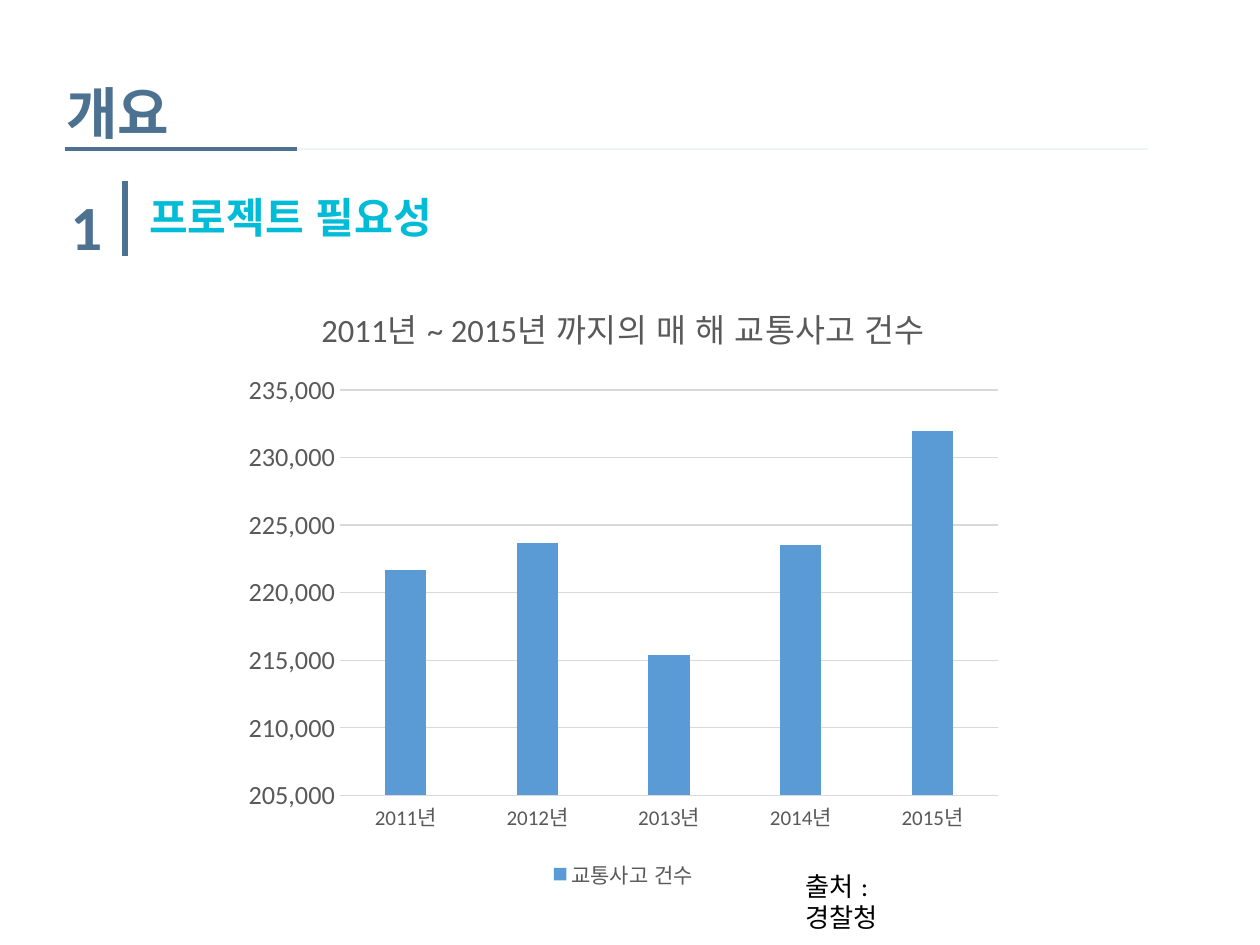
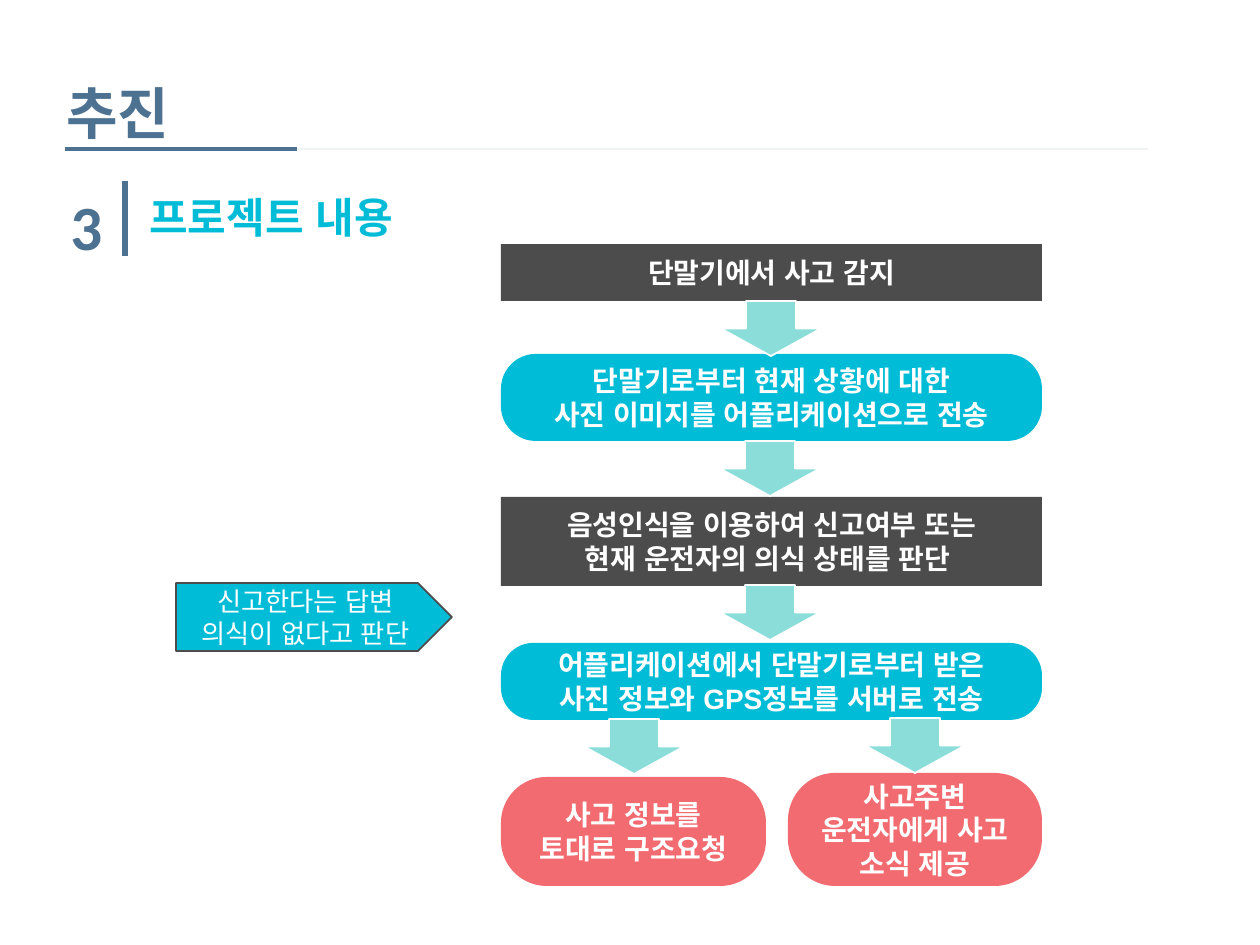
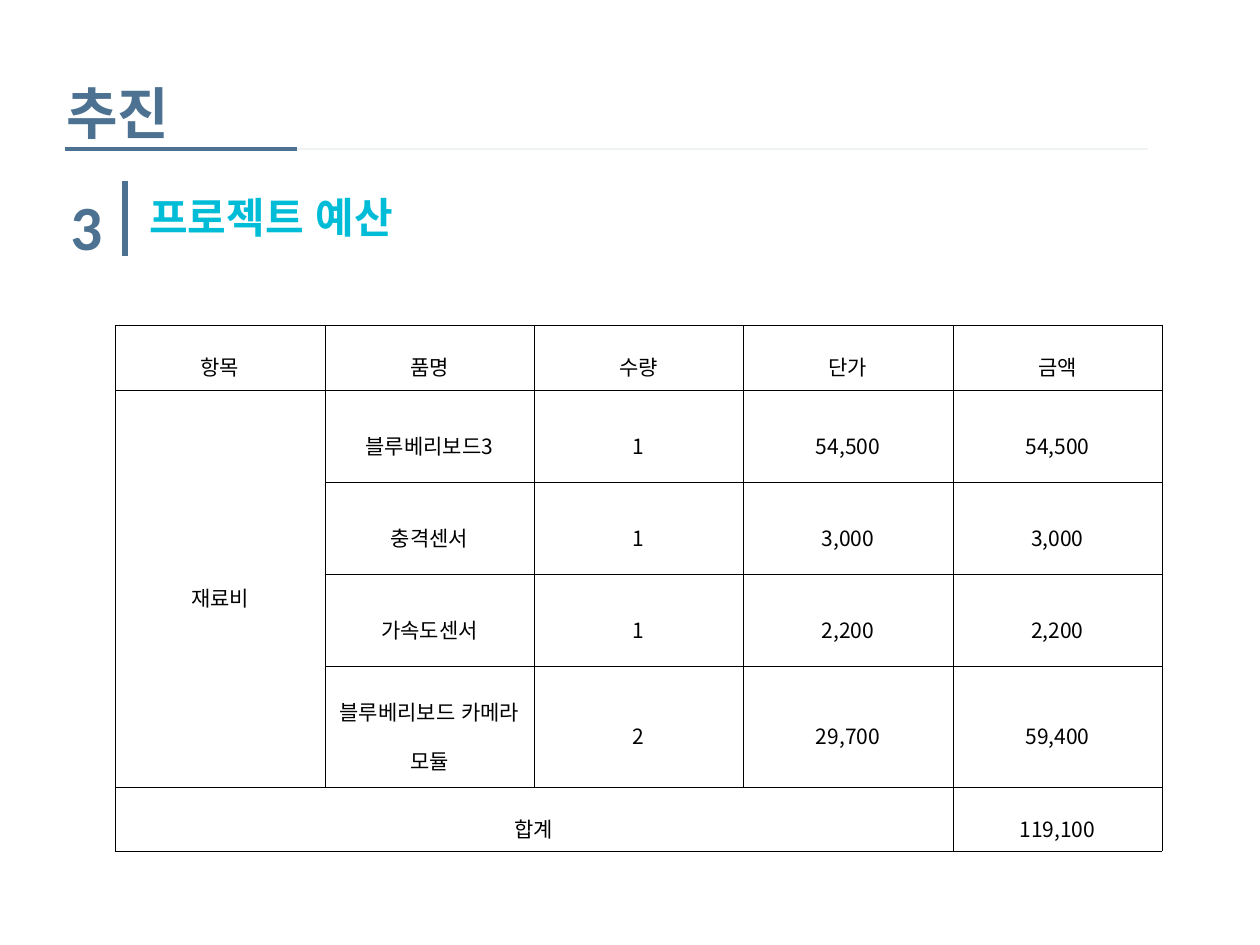
from dataclasses import dataclass
from typing import Optional

from lxml.etree import SubElement
from pptx import Presentation
from pptx.chart.data import CategoryChartData
from pptx.dml.color import RGBColor
from pptx.enum.chart import XL_CHART_TYPE as ChartType, XL_LEGEND_POSITION as LegendPosition
from pptx.enum.chart import XL_TICK_MARK as TickMark
from pptx.enum.lang import MSO_LANGUAGE_ID as Language
from pptx.enum.shapes import MSO_CONNECTOR as Connector, MSO_SHAPE as Preset
from pptx.enum.text import MSO_ANCHOR as Anchor, PP_ALIGN as Align
from pptx.oxml import parse_xml
from pptx.oxml.ns import nsdecls, qn
from pptx.slide import Slide
from pptx.text.text import Font, TextFrame
from pptx.util import Emu, Pt

PX_PER_INCH = 126

STEEL = RGBColor(0x4D, 0x71, 0x91)
PALE = RGBColor(0xEF, 0xF3, 0xF4)
CYAN = RGBColor(0x00, 0xBC, 0xD7)
CHARCOAL = RGBColor(0x4C, 0x4C, 0x4C)
CORAL = RGBColor(0xF2, 0x6B, 0x70)
MINT = RGBColor(0x8B, 0xDD, 0xDA)
BAR_BLUE = RGBColor(0x5B, 0x9B, 0xD5)
CHART_TEXT = RGBColor(0x59, 0x59, 0x59)
GRID = RGBColor(0xD9, 0xD9, 0xD9)
WHITE = RGBColor(0xFF, 0xFF, 0xFF)
BLACK = RGBColor(0x00, 0x00, 0x00)

KOREAN = "Noto Sans CJK KR"
LATIN = "Calibri"
SHAPE_FONT = "Arial"


@dataclass(frozen=True)
class Area:
    left: int
    top: int
    width: int
    height: int


@dataclass(frozen=True)
class Rule:
    start: tuple[int, int]
    end: tuple[int, int]
    color: RGBColor
    weight: float


@dataclass(frozen=True)
class Step:
    area: Area
    preset: Preset
    fill: RGBColor
    text: str = ""
    corner: Optional[float] = None
    outline: Optional[RGBColor] = None
    size: int = 16
    bold: bool = True


HEADER_RULES = [
    Rule((125, 181), (125, 256), STEEL, 3),
    Rule((65, 149), (297, 149), STEEL, 2.75),
    Rule((297, 149), (1148, 149), PALE, 1),
]

FLOW_LEFT, FLOW_WIDTH = 501, 541
STEPS = [
    Step(Area(FLOW_LEFT, 244, FLOW_WIDTH, 57), Preset.RECTANGLE, CHARCOAL,
         "단말기에서 사고 감지"),
    Step(Area(FLOW_LEFT, 354, FLOW_WIDTH, 87), Preset.ROUNDED_RECTANGLE, CYAN,
         "단말기로부터 현재 상황에 대한\n사진 이미지를 어플리케이션으로 전송", 0.4),
    Step(Area(FLOW_LEFT, 497, FLOW_WIDTH, 89), Preset.RECTANGLE, CHARCOAL,
         "음성인식을 이용하여 신고여부 또는\n현재 운전자의 의식 상태를 판단 "),
    Step(Area(FLOW_LEFT, 643, FLOW_WIDTH, 77), Preset.ROUNDED_RECTANGLE, CYAN,
         "어플리케이션에서 단말기로부터 받은\n사진 정보와 GPS정보를 서버로 전송", 0.42),
    Step(Area(FLOW_LEFT, 777, 265, 109), Preset.ROUNDED_RECTANGLE, CORAL,
         "사고 정보를 토대로 구조요청", 0.42),
    Step(Area(788, 773, 254, 113), Preset.ROUNDED_RECTANGLE, CORAL,
         "사고주변 운전자에게 사고 소식 제공", 0.42),
    Step(Area(176, 583, 276, 68), Preset.PENTAGON, CYAN,
         "신고한다는 답변\n의식이 없다고 판단", outline=CHARCOAL, size=15, bold=False),
]
ARROW_PLACES = [(721, 301), (720, 441), (720, 585), (584, 719), (865, 718)]

ACCIDENTS = {"2011년": 221700, "2012년": 223700, "2013년": 215400,
             "2014년": 223500, "2015년": 232000}

BUDGET = [
    ["항목", "품명", "수량", "단가", "금액"],
    ["재료비", "블루베리보드3", "1", "54,500", "54,500"],
    ["", "충격센서", "1", "3,000", "3,000"],
    ["", "가속도센서", "1", "2,200", "2,200"],
    ["", "블루베리보드 카메라 모듈", "2", "29,700", "59,400"],
    ["합계", "", "", "", "119,100"],
]
ROW_HEIGHTS = [65, 92, 92, 92, 121, 64]
COLUMN_WIDTHS = [210, 209, 209, 210, 209]


def px(length: int) -> Emu:
    return Emu(round(length * 914400 / PX_PER_INCH))


def place(area: Area) -> tuple[Emu, Emu, Emu, Emu]:
    return px(area.left), px(area.top), px(area.width), px(area.height)


def set_font(font: Font, *, size: float, color: RGBColor,
             name: str = LATIN, bold: bool = False) -> None:
    font.size = Pt(size)
    font.bold = bold
    font.color.rgb = color
    font.name = name
    font.language_id = Language.KOREAN
    east_asian = parse_xml(f'<a:ea {nsdecls("a")} typeface="{KOREAN}"/>')
    font._rPr.find(qn("a:latin")).addnext(east_asian)


def write(frame: TextFrame, text: str, *, size: float, color: RGBColor, name: str = LATIN,
          bold: bool = False, align: Align = Align.LEFT, anchor: Anchor = Anchor.TOP,
          spacing: float = 1.0) -> None:
    frame.word_wrap = True
    frame.vertical_anchor = anchor
    for index, line in enumerate(text.split("\n")):
        para = frame.add_paragraph() if index else frame.paragraphs[0]
        para.alignment = align
        para.line_spacing = spacing
        span = para.add_run()
        span.text = line
        set_font(span.font, size=size, color=color, name=name, bold=bold)


def add_text(page: Slide, area: Area, text: str, **style) -> TextFrame:
    frame = page.shapes.add_textbox(*place(area)).text_frame
    write(frame, text, **style)
    return frame


def add_rule(page: Slide, rule: Rule) -> None:
    line = page.shapes.add_connector(
        Connector.STRAIGHT, *(px(value) for value in rule.start + rule.end))
    line.line.color.rgb = rule.color
    line.line.width = Pt(rule.weight)
    SubElement(line._element.spPr, qn("a:effectLst"))


def add_step(page: Slide, step: Step) -> None:
    box = page.shapes.add_shape(step.preset, *place(step.area))
    box.shadow.inherit = False
    box.fill.solid()
    box.fill.fore_color.rgb = step.fill
    if step.outline is None:
        box.line.fill.background()
    else:
        box.line.color.rgb = step.outline
        box.line.width = Pt(1)
    if step.corner is not None:
        box.adjustments[0] = step.corner
    if step.text:
        write(box.text_frame, step.text, size=step.size, color=WHITE, name=SHAPE_FONT,
              bold=step.bold, align=Align.CENTER, anchor=Anchor.MIDDLE)


def add_page(deck: Presentation, title: str, number: str, subtitle: str) -> Slide:
    page = deck.slides.add_slide(deck.slide_layouts[6])
    for rule in HEADER_RULES:
        add_rule(page, rule)
    add_text(page, Area(137, 185, 367, 71), subtitle,
             size=24, color=CYAN, name=KOREAN, bold=True)
    add_text(page, Area(54, 72, 433, 95), title,
             size=32, color=STEEL, name=KOREAN, bold=True)
    add_text(page, Area(58, 181, 98, 105), number, size=36, color=STEEL, bold=True)
    return page


def add_accident_chart(page: Slide) -> None:
    data = CategoryChartData(number_format="#,##0")
    data.categories = list(ACCIDENTS)
    data.add_series("교통사고 건수", list(ACCIDENTS.values()))
    chart = page.shapes.add_chart(
        ChartType.COLUMN_CLUSTERED, *place(Area(233, 276, 781, 619)), data).chart
    set_font(chart.font, size=10, color=BLACK)
    chart.has_title = True
    write(chart.chart_title.text_frame, "2011년 ~ 2015년 까지의 매 해 교통사고 건수",
          size=18.6, color=CHART_TEXT, align=Align.CENTER)
    chart.has_legend = True
    chart.legend.position = LegendPosition.BOTTOM
    chart.legend.include_in_layout = False
    set_font(chart.legend.font, size=12, color=CHART_TEXT)

    plot = chart.plots[0]
    plot.gap_width = 219
    plot.overlap = -27
    plot.vary_by_categories = False
    bars = plot.series[0].format.fill
    bars.solid()
    bars.fore_color.rgb = BAR_BLUE

    categories, values = chart.category_axis, chart.value_axis
    for axis, size in ((categories, 12), (values, 15)):
        axis.major_tick_mark = axis.minor_tick_mark = TickMark.NONE
        set_font(axis.tick_labels.font, size=size, color=CHART_TEXT)
    values.minimum_scale, values.maximum_scale = 205000, 235000
    values.major_unit = 5000
    values.tick_labels.number_format = "#,##0"
    values.tick_labels.number_format_is_linked = False
    values.format.line.fill.background()
    for line in (categories.format.line, values.major_gridlines.format.line):
        line.color.rgb = GRID
        line.width = Pt(0.75)


def add_budget_table(page: Slide) -> None:
    area = Area(115, 325, sum(COLUMN_WIDTHS), sum(ROW_HEIGHTS))
    table = page.shapes.add_table(
        len(ROW_HEIGHTS), len(COLUMN_WIDTHS), *place(area)).table
    table.first_row = table.horz_banding = False
    for column, width in zip(table.columns, COLUMN_WIDTHS):
        column.width = px(width)
    for row, height in zip(table.rows, ROW_HEIGHTS):
        row.height = px(height)
    for row_index, texts in enumerate(BUDGET):
        for column_index, text in enumerate(texts):
            cell = table.cell(row_index, column_index)
            cell.margin_left = cell.margin_right = px(9)
            cell.margin_top = cell.margin_bottom = px(2)
            cell.vertical_anchor = Anchor.MIDDLE
            for side in ("lnL", "lnR", "lnT", "lnB"):
                border = SubElement(cell._tc.get_or_add_tcPr(), qn(f"a:{side}"), w=str(Pt(0.28)))
                ink = SubElement(border, qn("a:solidFill"))
                SubElement(ink, qn("a:srgbClr"), val=str(BLACK))
            cell.fill.background()
            if text:
                write(cell.text_frame, text, size=12, color=BLACK, name=KOREAN,
                      align=Align.CENTER, anchor=Anchor.MIDDLE, spacing=1.6)
    table.cell(1, 0).merge(table.cell(4, 0))
    table.cell(5, 0).merge(table.cell(5, 3))


def main() -> None:
    deck = Presentation()
    deck.slide_width, deck.slide_height = px(1260), px(945)

    need = add_page(deck, "개요", "1", "프로젝트 필요성")
    add_accident_chart(need)
    credit = add_text(need, Area(793, 864, 176, 44), "출처 : 경찰청", size=15, color=BLACK)
    credit.margin_right = px(80)

    content = add_page(deck, "추진", "3", "프로젝트 내용")
    for step in STEPS:
        add_step(content, step)
    for left, top in ARROW_PLACES:
        add_step(content, Step(Area(left, top, 100, 55), Preset.DOWN_ARROW, MINT,
                               outline=WHITE))

    budget = add_page(deck, "추진", "3", "프로젝트 예산")
    add_budget_table(budget)

    deck.save("out.pptx")


if __name__ == "__main__":
    main()
